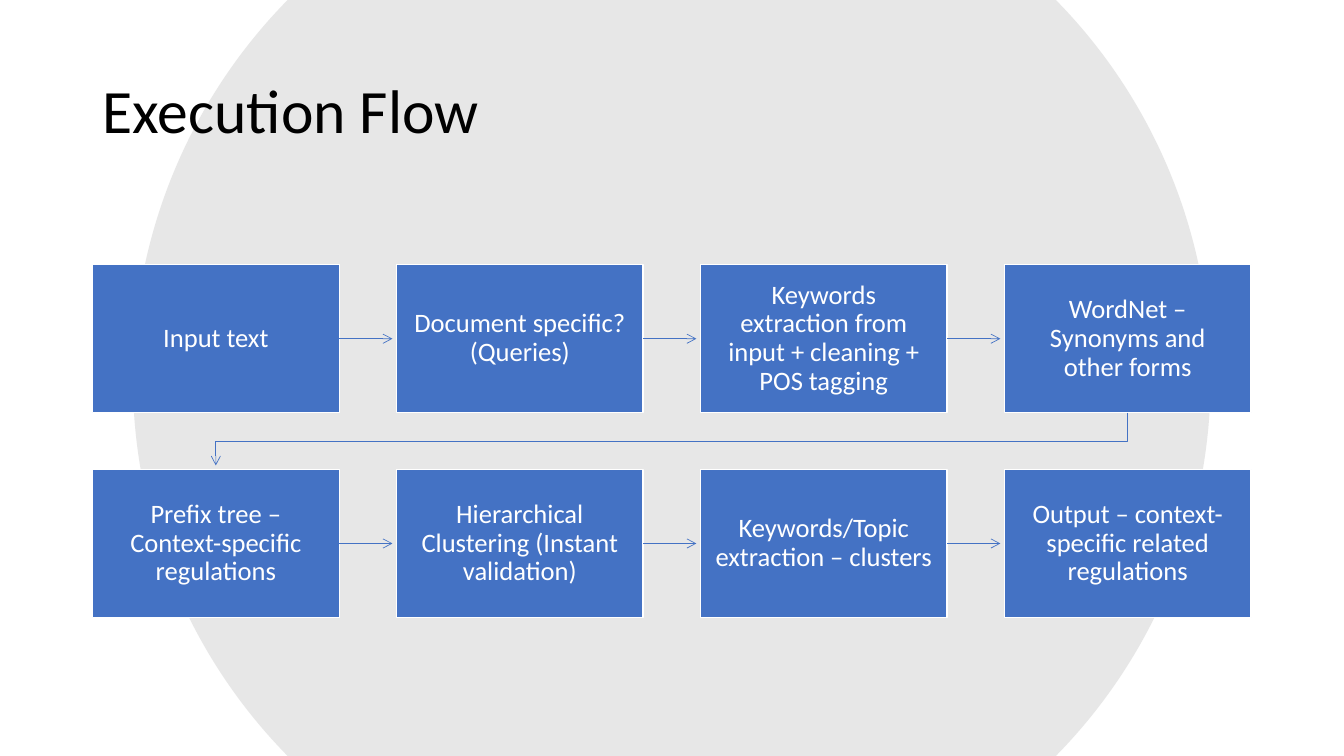
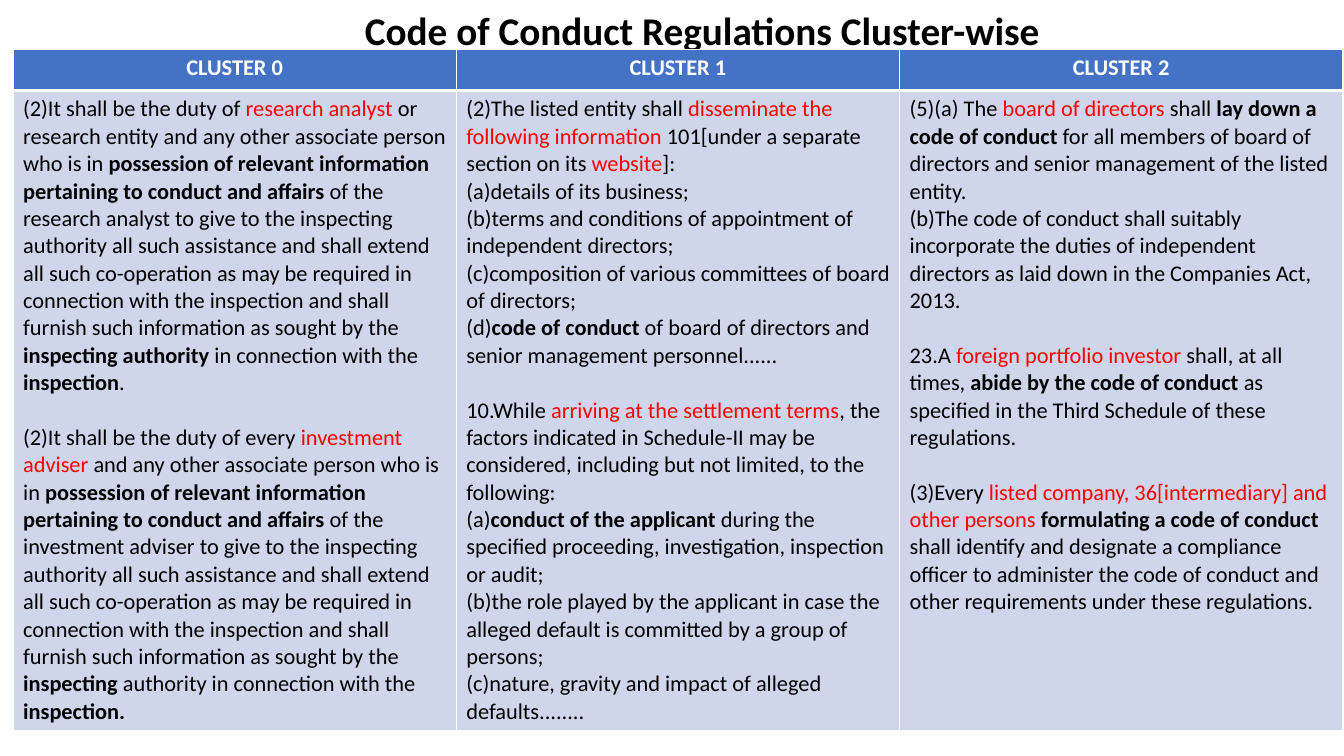
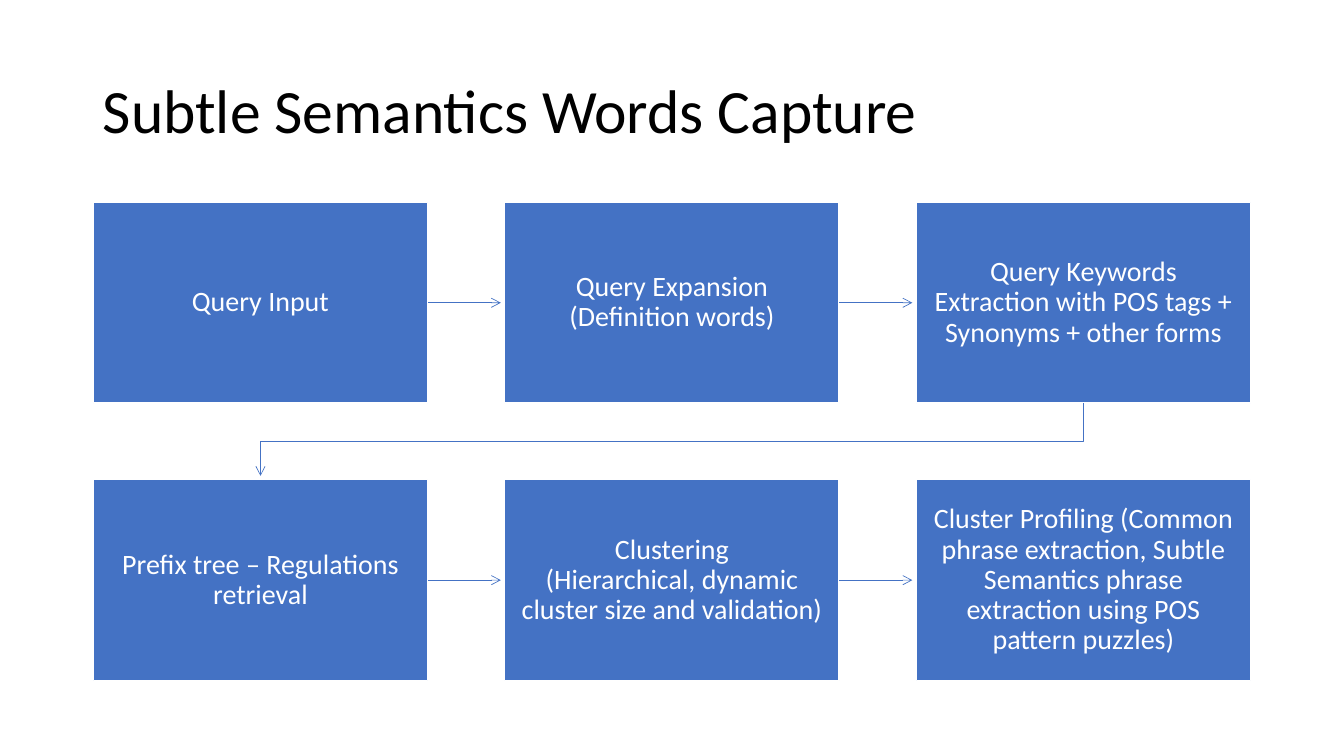
import math
from itertools import pairwise

from lxml import etree
from pptx import Presentation
from pptx import util as u
from pptx.dml import color as dml
from pptx.enum import shapes, text
from pptx.oxml import ns

FONT = "Calibri"
BLUE, PALE_BLUE, GRAY = "4472C4", "CFD5EA", "D9D9D9"
WHITE, BLACK, RED = "FFFFFF", "000000", "FF0000"
LEFT, CENTER = text.PP_ALIGN.LEFT, text.PP_ALIGN.CENTER
ARROW_GAP = 0.1
WIDTH, HEIGHT = 33.87, 19.05


def rgb(value):
    return dml.RGBColor.from_string(value)


def write(frame, content, size, color=BLACK, bold=False, align=LEFT, line_spacing=1.0, before=0):
    paragraph = frame.add_paragraph() if frame.text else frame.paragraphs[0]
    paragraph.alignment = align
    paragraph.line_spacing = line_spacing
    paragraph.space_before = u.Pt(before)
    for line_index, line in enumerate(content.split("\n")):
        if line_index:
            paragraph.add_line_break()
        for bold_index, part in enumerate(line.split("*")):
            for red_index, piece in enumerate(part.split("~")):
                if piece:
                    run = paragraph.add_run()
                    run.text = piece
                    run.font.name = FONT
                    run.font.size = u.Pt(size)
                    run.font.bold = bold or bold_index % 2 == 1
                    run.font.color.rgb = rgb(RED if red_index % 2 else color)


presentation = Presentation()
presentation.slide_width, presentation.slide_height = u.Cm(WIDTH), u.Cm(HEIGHT)
blank = presentation.slide_layouts[6]
flow_slide, cluster_slide, capture_slide = [presentation.slides.add_slide(blank) for _ in range(3)]

radius, center_x, center_y = 13.58, 16.93, HEIGHT / 2
limit = math.asin(center_y / radius)
angles = [math.pi + limit, -limit, 0, limit, math.pi - limit, math.pi]
outline = [
    (u.Cm(center_x + radius * math.cos(angle)), u.Cm(center_y + radius * math.sin(angle)))
    for angle in angles
]
builder = flow_slide.shapes.build_freeform(*outline[0])
builder.add_line_segments(outline[1:] + outline[:1], close=True)
backdrop = builder.convert_to_shape()
segments = list(backdrop.element.spPr.iter(ns.qn("a:lnTo")))
for index in (1, 2, 4, 5):
    arc = etree.Element(ns.qn("a:arcTo"))
    for name in ("wR", "hR"):
        arc.set(name, str(u.Cm(radius)))
    arc.set("stAng", str(round(math.degrees(angles[index]) * 60000) % 21600000))
    arc.set("swAng", str(round(math.degrees(limit) * 60000)))
    segments[index].getparent().replace(segments[index], arc)
backdrop.shadow.inherit = False
backdrop.line.fill.background()
backdrop.fill.solid()
backdrop.fill.fore_color.rgb = rgb(GRAY)
fill_color = backdrop.element.spPr.find(".//" + ns.qn("a:srgbClr"))
etree.SubElement(fill_color, ns.qn("a:alpha"), val="62000")

large_title = {"left": 2.34, "top": 1.02, "height": 3.68, "size": 44}
small_title = {"left": 3.09, "top": 0, "height": 1.65, "size": 28, "bold": True, "align": CENTER}
titles = [
    (flow_slide, "Execution Flow", large_title),
    (cluster_slide, "Code of Conduct Regulations Cluster-wise", small_title),
    (capture_slide, "Subtle Semantics Words Capture", large_title),
]
for slide, title, style in titles:
    style = dict(style)
    left, top, height = [u.Cm(style.pop(key)) for key in ("left", "top", "height")]
    frame = slide.shapes.add_textbox(left, top, u.Cm(29.21), height).text_frame
    frame.word_wrap = True
    frame.vertical_anchor = text.MSO_ANCHOR.MIDDLE
    write(frame, title, line_spacing=0.9, **style)

flows = [
    {
        "slide": flow_slide, "left": 2.33, "top": 6.67, "width": 6.22, "height": 3.73,
        "pitch_x": 7.66, "pitch_y": 5.16, "inset": 0.38, "size": 19,
        "rows": [
            [
                "Input text",
                "Document specific? (Queries)",
                "Keywords extraction from input + cleaning + POS tagging",
                "WordNet – Synonyms and other forms",
            ],
            [
                "Prefix tree – Context-specific regulations",
                "Hierarchical Clustering (Instant validation)",
                "Keywords/Topic extraction – clusters",
                "Output – context-specific related regulations",
            ],
        ],
    },
    {
        "slide": capture_slide, "left": 2.35, "top": 5.1, "width": 8.43, "height": 5.06,
        "pitch_x": 10.37, "pitch_y": 6.99, "inset": 0.41, "size": 20,
        "rows": [
            [
                "Query Input",
                "Query Expansion (Definition words)",
                "Query Keywords Extraction with POS tags + Synonyms + other forms",
            ],
            [
                "Prefix tree – Regulations retrieval",
                "Clustering\n(Hierarchical, dynamic cluster size and validation)",
                "Cluster Profiling (Common phrase extraction, Subtle Semantics phrase "
                "extraction using POS pattern puzzles)",
            ],
        ],
    },
]
for flow in flows:
    canvas = flow["slide"].shapes
    arrows = []
    grid = []
    for row_index, steps in enumerate(flow["rows"]):
        boxes = []
        for column_index, step in enumerate(steps):
            box = canvas.add_shape(
                shapes.MSO_SHAPE.RECTANGLE,
                u.Cm(flow["left"] + column_index * flow["pitch_x"]),
                u.Cm(flow["top"] + row_index * flow["pitch_y"]),
                u.Cm(flow["width"]),
                u.Cm(flow["height"]),
            )
            box.shadow.inherit = False
            box.fill.solid()
            box.fill.fore_color.rgb = rgb(BLUE)
            box.line.color.rgb = rgb(WHITE)
            box.line.width = u.Pt(1)
            frame = box.text_frame
            frame.word_wrap = True
            frame.vertical_anchor = text.MSO_ANCHOR.MIDDLE
            frame.margin_left = frame.margin_right = u.Cm(flow["inset"])
            frame.margin_top = frame.margin_bottom = u.Cm(flow["inset"])
            write(frame, step, flow["size"], color=WHITE, align=CENTER, line_spacing=0.9)
            boxes.append(box)
        for source, target in pairwise(boxes):
            middle = source.top + source.height // 2
            arrow = canvas.add_connector(
                shapes.MSO_CONNECTOR.STRAIGHT,
                source.left + source.width, middle, target.left - u.Cm(ARROW_GAP), middle,
            )
            arrow.begin_connect(source, 3)
            arrows.append(arrow)
        grid.append(boxes)

    last, first = grid[0][-1], grid[1][0]
    start_x, end_x = [box.left + box.width // 2 for box in (last, first)]
    start_y = last.top + last.height
    turn_y = (start_y + first.top) // 2
    builder = canvas.build_freeform(start_x, start_y)
    builder.add_line_segments(
        [(start_x, turn_y), (end_x, turn_y), (end_x, first.top - u.Cm(ARROW_GAP))], close=False
    )
    row_return = builder.convert_to_shape()
    row_return.fill.background()
    arrows.append(row_return)

    for arrow in arrows:
        arrow.line.color.rgb = rgb(BLUE)
        arrow.line.width = u.Pt(0.5)
        properties = arrow.element.spPr
        etree.SubElement(properties.find(ns.qn("a:ln")), ns.qn("a:tailEnd"), type="arrow")
        etree.SubElement(properties, ns.qn("a:effectLst"))

clusters = {
    "CLUSTER 0": [
        [
            "(2)It shall be the duty of~ research analyst~ or research entity and any other "
            "associate person who is in *possession of relevant information pertaining to conduct "
            "and affairs* of the research analyst to give to the inspecting authority all such "
            "assistance and shall extend all such co-operation as may be required in connection "
            "with the inspection and shall furnish such information as sought by the *inspecting "
            "authority* in connection with the *inspection*.",
        ],
        [
            "(2)It shall be the duty of every ~investment adviser~ and any other associate person "
            "who is in *possession of relevant information pertaining to conduct and affairs* of "
            "the investment adviser to give to the inspecting authority all such assistance and "
            "shall extend all such co-operation as may be required in connection with the "
            "inspection and shall furnish such information as sought by the *inspecting* authority "
            "in connection with the *inspection.*",
        ],
    ],
    "CLUSTER 1": [
        [
            "(2)The listed entity shall ~disseminate the following information~ 101[under a "
            "separate section on its ~website~]:",
            "(a)details of its business;",
            "(b)terms and conditions of appointment of independent directors;",
            "(c)composition of various committees of board of directors;",
            "(d)*code of conduct* of board of directors and senior management personnel......",
        ],
        [
            "10.While ~arriving at the settlement terms~, the factors indicated in Schedule-II may "
            "be considered, including but not limited, to the following:",
            "(a)*conduct of the applicant* during the specified proceeding, investigation, "
            "inspection or audit;",
            "(b)the role played by the applicant in case the alleged default is committed by a "
            "group of persons;",
            "(c)nature, gravity and impact of alleged defaults........",
        ],
    ],
    "CLUSTER 2": [
        [
            "(5)(a) The ~board of directors~ shall *lay down a code of conduct* for all members of "
            "board of directors and senior management of the listed entity.",
            "(b)The code of conduct shall suitably incorporate the duties of independent directors "
            "as laid down in the Companies Act, 2013.",
        ],
        [
            "23.A ~foreign portfolio investor~ shall, at all times, *abide by the code of conduct* "
            "as specified in the Third Schedule of these regulations.",
        ],
        [
            "(3)Every ~listed company, 36[intermediary] and other persons ~*formulating a code of "
            "conduct* shall identify and designate a compliance officer to administer the code of "
            "conduct and other requirements under these regulations.",
        ],
    ],
}
table = cluster_slide.shapes.add_table(
    2, len(clusters), u.Cm(0.33), u.Cm(1.25), u.Cm(33.51), u.Cm(17.15)
).table
table.rows[0].height, table.rows[1].height = u.Cm(1.03), u.Cm(16.12)
for column_index, (heading, regulations) in enumerate(clusters.items()):
    table.columns[column_index].width = u.Cm(11.17)
    header, body = [table.cell(row_index, column_index) for row_index in range(2)]
    body.margin_right = u.Cm(0.23)
    write(header.text_frame, heading, 16, color=WHITE, bold=True, align=CENTER)
    for regulation_index, regulation in enumerate(regulations):
        for clause_index, clause in enumerate(regulation):
            gap = 19.5 if regulation_index and not clause_index else 0
            write(body.text_frame, clause, 16, before=gap)
    borders = [(header, BLUE, {"lnB": 3}), (body, PALE_BLUE, {"lnT": 3})]
    for cell, fill, thick in borders:
        properties = cell._tc.get_or_add_tcPr()
        for side in ("lnL", "lnR", "lnT", "lnB"):
            width = str(u.Pt(thick.get(side, 1)))
            border = etree.SubElement(properties, ns.qn("a:" + side), w=width)
            solid = etree.SubElement(border, ns.qn("a:solidFill"))
            etree.SubElement(solid, ns.qn("a:srgbClr"), val=WHITE)
        cell.fill.solid()
        cell.fill.fore_color.rgb = rgb(fill)

presentation.save("out.pptx")
